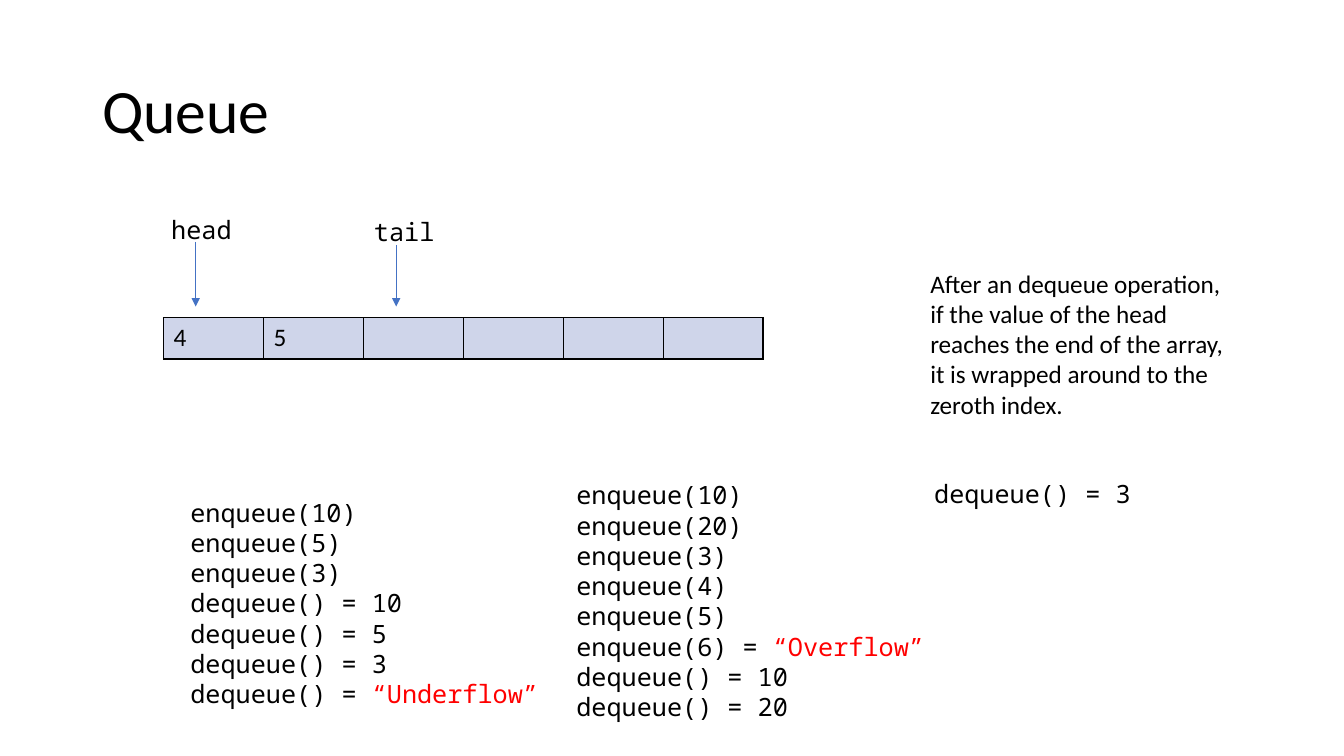
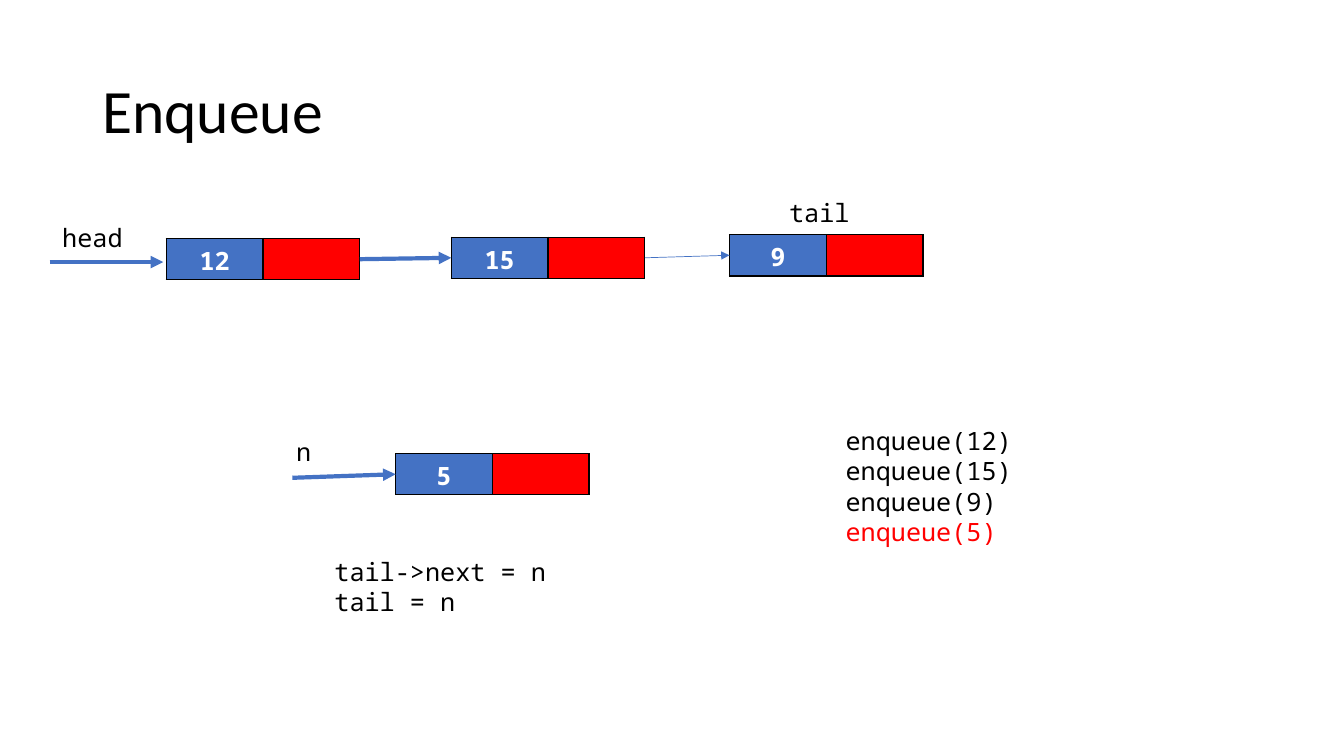
from dataclasses import dataclass

from lxml.etree import SubElement
from pptx import Presentation
from pptx.dml.color import RGBColor
from pptx.enum.text import MSO_ANCHOR, MSO_AUTO_SIZE, PP_ALIGN
from pptx.enum.shapes import MSO_CONNECTOR
from pptx.oxml import parse_xml
from pptx.oxml.ns import nsdecls, qn
from pptx.util import Pt


@dataclass(frozen=True)
class Theme:
    black: str = "000000"
    white: str = "FFFFFF"
    blue: str = "4472C4"
    pale: str = "CFD5EA"
    red: str = "FF0000"
    sans: str = "Calibri"
    mono: str = "Noto Sans Mono"
    title_size: int = 44
    body_size: int = 18
    border: float = 1
    thin: float = 0.5
    thick: float = 3


THEME = Theme()
CELL_HEIGHT = 29.5
ARRAY_CELL_WIDTH = 71.4
NODE_CELL_WIDTH = 69.1


def set_values(target, values):
    for name, value in values.items():
        setattr(target, name, value)


def add_span(para, text, color=THEME.black, font=THEME.mono,
             size=THEME.body_size, bold=False):
    span = para.add_run()
    span.text = text
    set_values(span.font, {"name": font, "size": Pt(size), "bold": bold})
    span.font.color.rgb = RGBColor.from_string(color)


def add_text(page, place, lines, **style):
    """Add one paragraph per line; a line is a string or (black text, red text)."""
    box = page.shapes.add_textbox(*map(Pt, place))
    frame = box.text_frame
    set_values(frame, {"word_wrap": True,
                       "auto_size": MSO_AUTO_SIZE.SHAPE_TO_FIT_TEXT})
    for index, line in enumerate(lines):
        para = frame.add_paragraph() if index else frame.paragraphs[0]
        plain, alert = (line, "") if isinstance(line, str) else line
        if plain:
            add_span(para, plain, **style)
        if alert:
            add_span(para, alert, **{**style, "color": THEME.red})
    return frame


def add_title(page, text):
    frame = add_text(page, (66, 28.8, 828, 104.4), [text],
                     font=THEME.sans, size=THEME.title_size)
    set_values(frame, {"auto_size": MSO_AUTO_SIZE.NONE,
                       "vertical_anchor": MSO_ANCHOR.MIDDLE})
    frame.paragraphs[0].line_spacing = 0.9


def add_borders(cell):
    properties = cell._tc.get_or_add_tcPr()
    for index, side in enumerate(("lnL", "lnR", "lnT", "lnB")):
        properties.insert(index, parse_xml(
            f'<a:{side} {nsdecls("a")} w="{Pt(THEME.border)}"><a:solidFill>'
            f'<a:srgbClr val="{THEME.black}"/></a:solidFill></a:{side}>'))


def add_cells(page, left, top, width, values, fills, align, **style):
    """Add a one-row table whose cells are all equally wide."""
    table = page.shapes.add_table(
        1, len(values), Pt(left), Pt(top),
        Pt(width * len(values)), Pt(CELL_HEIGHT)).table
    set_values(table, {"first_row": False, "horz_banding": False})
    for column, (value, fill) in enumerate(zip(values, fills)):
        table.columns[column].width = Pt(width)
        cell = table.cell(0, column)
        cell.fill.solid()
        cell.fill.fore_color.rgb = RGBColor.from_string(fill)
        add_borders(cell)
        if value:
            para = cell.text_frame.paragraphs[0]
            para.alignment = align
            add_span(para, value, **style)


def add_node(page, left, top, value):
    """Add a value cell and a link cell; return the middles of the outer sides."""
    add_cells(page, left, top, NODE_CELL_WIDTH, [value, ""],
              [THEME.blue, THEME.red], PP_ALIGN.CENTER,
              color=THEME.white, bold=True)
    middle = top + CELL_HEIGHT / 2
    return (left, middle), (left + 2 * NODE_CELL_WIDTH, middle)


def add_arrow(page, start, end, weight):
    arrow = page.shapes.add_connector(MSO_CONNECTOR.STRAIGHT,
                                      *map(Pt, (*start, *end)))
    arrow.line.color.rgb = RGBColor.from_string(THEME.blue)
    arrow.line.width = Pt(weight)
    SubElement(arrow.line._get_or_add_ln(), qn("a:tailEnd"), type="triangle")
    SubElement(arrow._element.spPr, qn("a:effectLst"))


def build_queue(page):
    add_title(page, "Queue")
    values = ["4", "5", "", "", "", ""]
    add_cells(page, 116.8, 227, ARRAY_CELL_WIDTH, values,
              [THEME.pale] * len(values), PP_ALIGN.LEFT, font=THEME.sans)
    for label, left, top, arrow_x, arrow_top in (
            ("head", 115.2, 149.8, 139.8, 172.8),
            ("tail", 260, 151.2, 283, 175)):
        add_text(page, (left, top, 72.7, 28.8), [label])
        add_arrow(page, (arrow_x, arrow_top), (arrow_x, 219), THEME.thin)

    add_text(page, (128.9, 351.4, 266.4, 159.8), [
        "enqueue(10)", "enqueue(5)", "enqueue(3)",
        "dequeue() = 10", "dequeue() = 5", "dequeue() = 3",
        ("dequeue() = ", "“Underflow”")])
    add_text(page, (404.6, 339.1, 266.4, 181.4), [
        "enqueue(10)", "enqueue(20)", "enqueue(3)", "enqueue(4)",
        "enqueue(5)", ("enqueue(6) = ", "“Overflow”"),
        "dequeue() = 10", "dequeue() = 20"])
    add_text(page, (660.2, 338.4, 266.4, 28.8), ["dequeue() = 3"])
    add_text(page, (657.4, 187.9, 226, 116.6), [
        "After an dequeue operation, if the value of the head reaches "
        "the end of the array, it is wrapped around to the zeroth index."],
        font=THEME.sans)


def build_enqueue(page):
    add_title(page, "Enqueue")
    for label, left, top in (("head", 37.4, 155.5), ("tail", 556.6, 137.5),
                             ("n", 204.5, 308.2)):
        add_text(page, (left, top, 98.6, 28.8), [label])

    _, first_out = add_node(page, 118.8, 170.4, "12")
    second_in, second_out = add_node(page, 322.4, 169.4, "15")
    third_in, _ = add_node(page, 521.1, 167.6, "9")
    new_in, _ = add_node(page, 282.6, 324, "5")
    for start, end, weight in (
            ((35.5, 187.2), (116.6, 187.2), THEME.thick),
            (first_out, second_in, THEME.thick),
            (second_out, third_in, THEME.thin),
            ((208.8, 341.3), new_in, THEME.thick)):
        add_arrow(page, start, end, weight)

    add_text(page, (596.9, 300.4, 239.8, 94.3), [
        "enqueue(12)", "enqueue(15)", "enqueue(9)", ("", "enqueue(5)")])
    add_text(page, (231.8, 393.9, 239.8, 51), ["tail->next = n", "tail = n"])


def main():
    deck = Presentation()
    set_values(deck, {"slide_width": Pt(960), "slide_height": Pt(540)})
    blank = deck.slide_layouts[6]
    for build in (build_queue, build_enqueue):
        build(deck.slides.add_slide(blank))
    deck.save("out.pptx")


if __name__ == "__main__":
    main()
